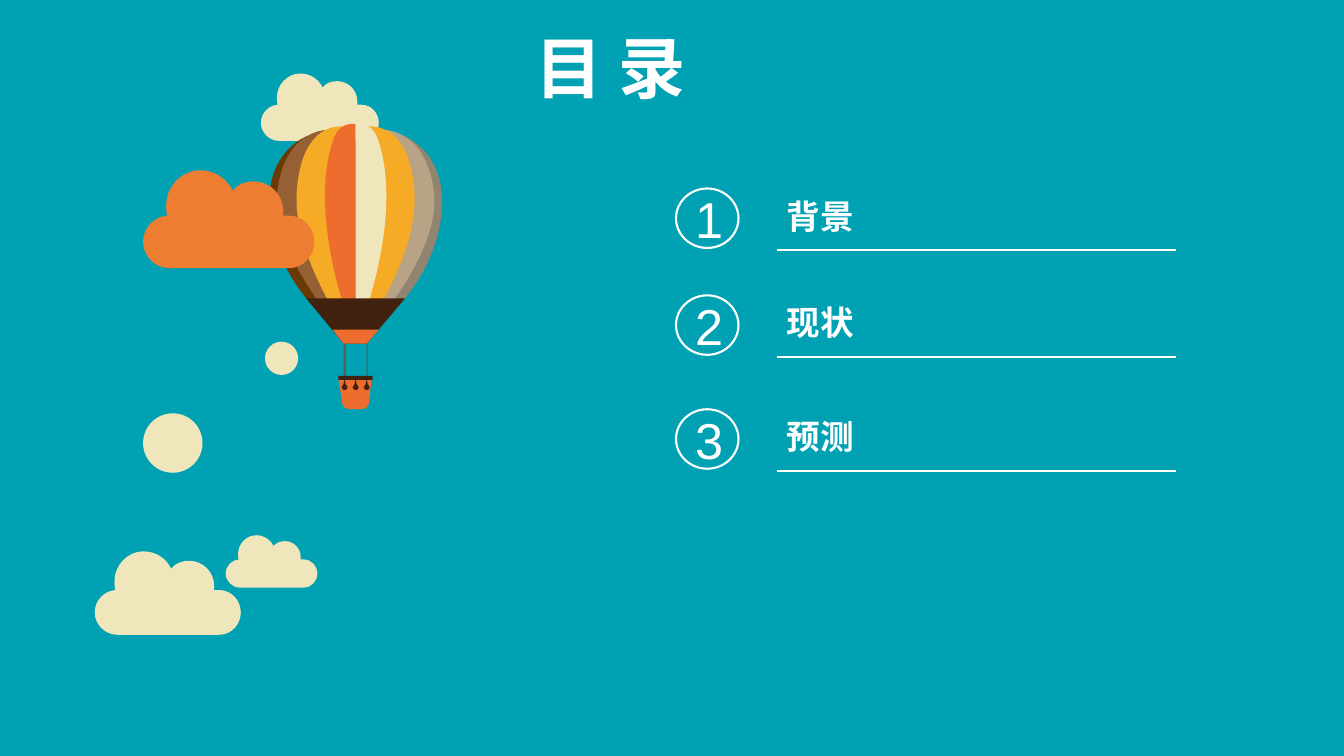
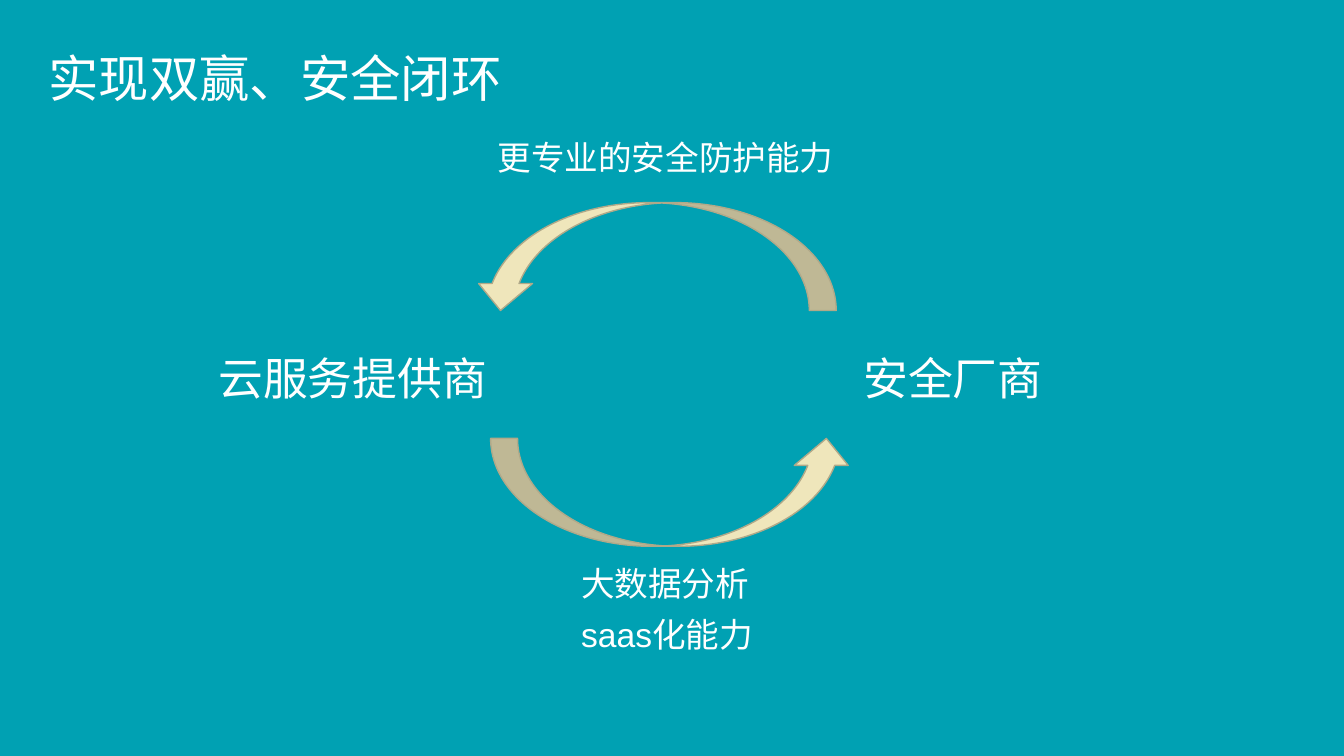
"""Build the contents slide with its balloon scene and the closed-loop slide."""
from pptx import Presentation
from pptx.dml.color import RGBColor
from pptx.enum.shapes import MSO_CONNECTOR, MSO_SHAPE
from pptx.enum.text import MSO_ANCHOR, MSO_AUTO_SIZE, PP_ALIGN
from pptx.oxml.ns import qn
from pptx.util import Inches, Pt
from lxml import etree

OVAL, RECTANGLE = MSO_SHAPE.OVAL, MSO_SHAPE.RECTANGLE
NUMBER_RING, CURVED_ARROW = MSO_SHAPE.FLOWCHART_CONNECTOR, MSO_SHAPE.CURVED_UP_ARROW
STRAIGHT = MSO_CONNECTOR.STRAIGHT
TOP, MIDDLE = MSO_ANCHOR.TOP, MSO_ANCHOR.MIDDLE
LEFT, CENTER = PP_ALIGN.LEFT, PP_ALIGN.CENTER
NO_AUTOFIT = MSO_AUTO_SIZE.NONE

FONT = "Arial"
TITLE_ONLY = 5
TEAL = RGBColor(0x00, 0xA1, 0xB3)
WHITE = RGBColor(0xFF, 0xFF, 0xFF)
CREAM = RGBColor(0xEF, 0xE6, 0xBB)
ORANGE = RGBColor(0xED, 0x7D, 0x31)
FLAME = RGBColor(0xED, 0x6D, 0x2E)
AMBER = RGBColor(0xF6, 0xAB, 0x27)
DARK_BROWN = RGBColor(0x6A, 0x39, 0x06)
BROWN = RGBColor(0x95, 0x61, 0x34)
DARK_TAN = RGBColor(0x91, 0x84, 0x70)
TAN = RGBColor(0xB8, 0xA3, 0x87)
COFFEE = RGBColor(0x40, 0x22, 0x0F)
ROPE_GRAY = RGBColor(0x59, 0x57, 0x57)
ARROW_EDGE = RGBColor(0xB0, 0xA9, 0x89)

CONTENTS = [("背景", 1.87), ("现状", 2.93), ("预测", 4.06)]

LABELS = [
    ("云服务提供商", 32, (2.07, 3.43, 3.1, 0.64)),
    ("安全厂商", 32, (8.47, 3.43, 2.2, 0.64)),
    ("大数据分析", 24, (5.67, 5.54, 2.2, 0.5)),
    ("saas化能力", 24, (5.67, 6.04, 2.2, 0.5)),
    ("更专业的安全防护能力", 24, (4.84, 1.31, 3.65, 0.5)),
]
ARROWS = [((4.87, 4.35, 3.6, 1.07), 0), ((4.7, 2.01, 3.6, 1.07), 180)]

CLOUD_WIDTH = 1.7
CLOUD = [
    (0.24, 0.45), (0.23, 0.42, 0.23, 0.38, 0.23, 0.35),
    (0.23, 0.16, 0.38, 0, 0.57, 0), (0.71, 0, 0.83, 0.08, 0.89, 0.2),
    (0.94, 0.14, 1.01, 0.11, 1.1, 0.11), (1.26, 0.11, 1.39, 0.24, 1.39, 0.4),
    (1.39, 0.42, 1.39, 0.43, 1.39, 0.45), (1.45, 0.45),
    (1.59, 0.45, 1.7, 0.57, 1.7, 0.71), (1.7, 0.85, 1.59, 0.97, 1.45, 0.97),
    (0.26, 0.97), (0.12, 0.97, 0, 0.85, 0, 0.71),
    (0, 0.57, 0.11, 0.46, 0.24, 0.45),
]
BACK_CLOUD = (2.59, 0.73, 1.17, CREAM)
FRONT_CLOUDS = [(1.42, 1.69, 1.7, ORANGE), (0.94, 5.47, 1.45, CREAM),
                (2.24, 5.31, 0.91, CREAM)]
DOTS = [(1.42, 4.1, 0.59), (2.63, 3.39, 0.33)]

AXIS = 3.53
PANELS = [
    (DARK_BROWN, DARK_TAN, [(0.48, 1.35), (0.48, 1.35, 0.98, 1.53, 0.83, 2.26),
                            (0.69, 2.98, 0, 3.41, 0, 3.41)]),
    (BROWN, TAN, [(0.3, 1.29), (0.3, 1.29, 0.72, 1.3, 0.78, 1.93),
                  (0.83, 2.55, 0.09, 3.36, 0, 3.41)]),
    (AMBER, AMBER, [(0.08, 1.26), (0.08, 1.26, 0.51, 1.15, 0.58, 1.85),
                    (0.66, 2.55, 0, 3.41, 0, 3.41)]),
    (FLAME, CREAM, [(0, 1.23), (0, 3.41), (0, 3.41, 0.12, 3.07, 0.21, 2.7),
                    (0.26, 2.47, 0.39, 1.87, 0.22, 1.38),
                    (0.18, 1.27, 0.11, 1.22, 0, 1.23)]),
]
SKIRT = [(-0.49, 2.96), (0.49, 2.96), (0.11, 3.41), (-0.12, 3.41)]
BURNER = [(-0.23, 3.27), (-0.12, 3.41), (0.11, 3.41), (0.23, 3.27)]
BASKET = [(-0.17, 3.76), (-0.13, 4.01), (-0.13, 4.01, -0.12, 4.06, -0.06, 4.06),
          (0.06, 4.06), (0.12, 4.06, 0.13, 4.01, 0.13, 4.01), (0.16, 3.76)]
ROPES = [(3.41, 3.4, 0.02, 0.33), (3.64, 3.4, 0.01, 0.33)]
RIM = (3.36, 3.73, 0.34, 0.04)
SANDBAG = [(0.01, 0.05), (0.01, 0.03, 0, 0.01, 0, 0),
           (0, 0.01, -0.01, 0.03, -0.01, 0.05),
           (-0.01, 0.06, -0.03, 0.08, -0.03, 0.08),
           (-0.03, 0.1, -0.01, 0.11, 0, 0.11),
           (0.02, 0.11, 0.03, 0.1, 0.03, 0.08),
           (0.03, 0.08, 0.02, 0.06, 0.01, 0.05)]
SANDBAG_TOP, SANDBAG_GAP = 3.76, 0.11


def inches(place):
    return [Inches(length) for length in place]


def write(shape, text, size, bold=False, align=LEFT, anchor=TOP):
    frame = shape.text_frame
    frame.word_wrap = True
    frame.auto_size = NO_AUTOFIT
    frame.vertical_anchor = anchor
    para = frame.paragraphs[0]
    para.alignment = align
    span = para.add_run()
    span.text = text
    span.font.name = FONT
    span.font.size = Pt(size)
    span.font.bold = bold
    span.font.color.rgb = WHITE


def add_text(page, text, size, place, **style):
    write(page.shapes.add_textbox(*inches(place)), text, size, **style)


def add_page(deck, title, size, place, bold=False):
    page = deck.slides.add_slide(deck.slide_layouts[TITLE_ONLY])
    box = page.shapes.title
    box.left, box.top, box.width, box.height = inches(place)
    write(box, title, size, bold)
    return page


def paint(shape, fill=None, line=None, width=1):
    shape.shadow.inherit = False
    if fill is None:
        shape.fill.background()
    else:
        shape.fill.solid()
        shape.fill.fore_color.rgb = fill
    if line is None:
        shape.line.fill.background()
    else:
        shape.line.color.rgb = line
        shape.line.width = Pt(width)


def add_preset(page, kind, place, fill=None, line=None, width=1):
    shape = page.shapes.add_shape(kind, *inches(place))
    paint(shape, fill, line, width)
    return shape


def bend(shape, outline):
    segments = iter(list(shape.element.spPr.iter(qn("a:lnTo"))))
    for step in outline[1:]:
        segment = next(segments)
        if len(step) == 6:
            segment.addprevious(etree.Element(qn("a:cubicBezTo")))
            curve = segment.getprevious()
            for control in (segment, next(segments), next(segments)):
                curve.append(control[0])
                control.getparent().remove(control)


def add_outline(page, outline, fill, left=AXIS, top=0, scale_x=1, scale_y=1):
    points = [(Inches(left + step[i] * scale_x), Inches(top + step[i + 1] * scale_y))
              for step in outline for i in range(0, len(step), 2)]
    builder = page.shapes.build_freeform(*points[0])
    builder.add_line_segments(points[1:], close=True)
    shape = builder.convert_to_shape()
    bend(shape, outline)
    paint(shape, fill)


def add_cloud(page, left, top, width, fill):
    scale = width / CLOUD_WIDTH
    add_outline(page, CLOUD, fill, left, top, scale, scale)


def add_balloon(page):
    for side in (-1, 1):
        for left_fill, right_fill, outline in PANELS:
            fill = left_fill if side < 0 else right_fill
            add_outline(page, outline, fill, scale_x=side)
    add_outline(page, SKIRT, COFFEE)
    for rope in ROPES:
        add_preset(page, RECTANGLE, rope, ROPE_GRAY)
    add_outline(page, BURNER, FLAME)
    add_outline(page, BASKET, FLAME)
    add_preset(page, RECTANGLE, RIM, COFFEE)
    for offset in (-1, 0, 1):
        add_outline(page, SANDBAG, COFFEE, AXIS + offset * SANDBAG_GAP, SANDBAG_TOP)


def add_entry(page, number, text, top):
    rule = page.shapes.add_connector(
        STRAIGHT, *inches((7.71, top + 0.61, 11.67, top + 0.61)))
    rule.line.color.rgb = WHITE
    rule.line.width = Pt(1.5)
    etree.SubElement(rule.element.spPr, qn("a:effectLst"))
    ring = add_preset(page, NUMBER_RING, (6.71, top, 0.62, 0.59), line=WHITE, width=1.5)
    write(ring, str(number), 36, align=CENTER, anchor=MIDDLE)
    add_text(page, text, 24, (7.71, top + 0.02, 3.96, 0.5), bold=True, anchor=MIDDLE)


def build_contents(deck):
    page = add_page(deck, "目 录", 48, (5.22, 0.21, 1.87, 0.91), bold=True)
    add_cloud(page, *BACK_CLOUD)
    add_balloon(page)
    for cloud in FRONT_CLOUDS:
        add_cloud(page, *cloud)
    for left, top, size in DOTS:
        add_preset(page, OVAL, (left, top, size, size), CREAM)
    for number, (text, top) in enumerate(CONTENTS, 1):
        add_entry(page, number, text, top)


def build_loop(deck):
    page = add_page(deck, "实现双赢、安全闭环", 36, (0.38, 0.42, 5.03, 0.7))
    for place, turn in ARROWS:
        add_preset(page, CURVED_ARROW, place, CREAM, ARROW_EDGE).rotation = turn
    for text, size, place in LABELS:
        add_text(page, text, size, place)


def main():
    deck = Presentation()
    deck.slide_width, deck.slide_height = inches((13.34, 7.5))
    backdrop = deck.slide_master.background.fill
    backdrop.solid()
    backdrop.fore_color.rgb = TEAL
    build_contents(deck)
    build_loop(deck)
    deck.save("out.pptx")


if __name__ == "__main__":
    main()
